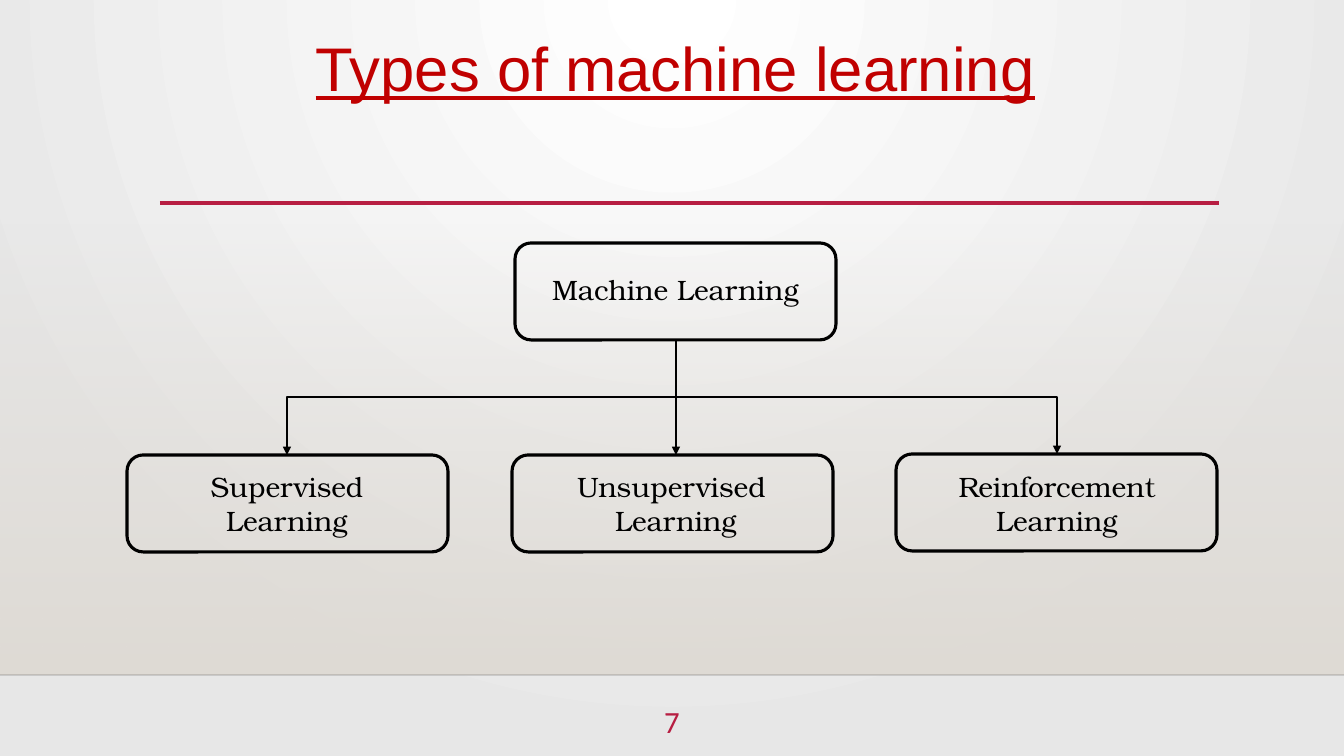
"""Builds a slide with a tree of the types of machine learning."""
from lxml import etree
from pptx import Presentation
from pptx import util as u
from pptx.dml.color import RGBColor
from pptx.enum import shapes, text
from pptx.oxml import parse_xml
from pptx.oxml.ns import nsdecls, qn

PX = 12192000 / 1344
WIDTH, HEIGHT = 1344, 756
BLACK = RGBColor(0x00, 0x00, 0x00)
RULE_BLACK = RGBColor(0x00, 0x00, 0x01)
TITLE_RED = RGBColor(0xC0, 0x00, 0x00)
ACCENT = RGBColor(0xB7, 0x1E, 0x42)
WHITE = RGBColor(0xFF, 0xFF, 0xFF)
GREY = RGBColor(0xE7, 0xE7, 0xE7)
SAND = RGBColor(0xDF, 0xDB, 0xD5)
LABEL_FONT = "TeX Gyre Bonum"
BOX_WIDTH, BOX_HEIGHT = 321, 97
ROOT_X, BRANCH_Y = 676, 397
KINDS = [
    (["Supervised ", "Learning"], 127, 455, 287, 181),
    (["Unsupervised ", "Learning"], 512, 455, 676, 219),
    (["Reinforcement", "Learning"], 896, 454, 1057, 220),
]


def px(*lengths):
    """Turn pixel lengths into EMU."""
    return [u.Emu(round(length * PX)) for length in lengths]


def set_gradient(fill, owner, stops, direction):
    """Give a fill two colour stops with opacity, and a direction in XML."""
    fill.gradient()
    gradient = owner.find(".//" + qn("a:gradFill"))
    stop_xml = "".join(
        f'<a:gs pos="{pos}"><a:srgbClr val="{color}"><a:alpha val="{alpha}"/></a:srgbClr></a:gs>'
        for pos, color, alpha in stops
    )
    gradient.getparent().replace(gradient, parse_xml(
        f'<a:gradFill {nsdecls("a")} rotWithShape="1">'
        f"<a:gsLst>{stop_xml}</a:gsLst>{direction}</a:gradFill>"
    ))


def add_line(slide, start, end, color, width, arrow=False, bent=False, alpha=None):
    """Add a straight or one-bend line, with an optional arrowhead."""
    kind = shapes.MSO_CONNECTOR.ELBOW if bent else shapes.MSO_CONNECTOR.STRAIGHT
    line = slide.shapes.add_connector(kind, *px(*start, *end))
    line.line.color.rgb = color
    line.line.width = u.Pt(width)
    properties = line.element.spPr
    etree.SubElement(properties, qn("a:effectLst"))
    if bent:
        properties.find(qn("a:prstGeom")).set("prst", "bentConnector2")
    if arrow:
        etree.SubElement(properties.find(qn("a:ln")), qn("a:tailEnd"), type="triangle")
    if alpha:
        etree.SubElement(properties.find(".//" + qn("a:srgbClr")), qn("a:alpha"), val=str(alpha))


def add_text(slide, lines, frame, font, size, color, wrap=True, underline=None, middle=False):
    """Add a text box with one centred paragraph for each line."""
    text_frame = slide.shapes.add_textbox(*px(*frame)).text_frame
    text_frame.word_wrap = wrap
    if middle:
        text_frame.vertical_anchor = text.MSO_ANCHOR.MIDDLE
    for index, line in enumerate(lines):
        paragraph = text_frame.add_paragraph() if index else text_frame.paragraphs[0]
        paragraph.alignment = text.PP_ALIGN.CENTER
        run = paragraph.add_run()
        run.text = line
        run.font.name = font
        run.font.size = u.Pt(size)
        run.font.color.rgb = color
        run.font.underline = underline


def add_box(slide, left, top):
    """Add an outlined rounded box of the tree."""
    box = slide.shapes.add_shape(
        shapes.MSO_SHAPE.ROUNDED_RECTANGLE, *px(left, top, BOX_WIDTH, BOX_HEIGHT))
    box.shadow.inherit = False
    box.fill.background()
    box.line.color.rgb = BLACK
    box.line.width = u.Pt(2.25)


def add_backdrop(slide):
    """Add the glow, the sand-coloured fade and the two rules."""
    set_gradient(
        slide.background.fill, slide.element, [(0, WHITE, 100000), (100000, GREY, 100000)],
        '<a:path path="circle"><a:fillToRect l="43000" t="0" r="43000" b="100000"/></a:path>')
    fade = slide.shapes.add_shape(shapes.MSO_SHAPE.RECTANGLE, *px(0, 223, WIDTH, 452))
    fade.shadow.inherit = False
    fade.line.fill.background()
    set_gradient(fade.fill, fade.element, [(0, SAND, 0), (100000, SAND, 100000)],
                 '<a:lin ang="5400000" scaled="0"/>')
    add_line(slide, (0, 675), (WIDTH, 675), RULE_BLACK, 1, alpha=20000)
    add_line(slide, (160, 203), (1219, 203), ACCENT, 2.5)


def add_tree(slide):
    """Add the root, its three kinds and the arrows between them."""
    add_box(slide, 515, 243)
    add_text(slide, ["Machine Learning"], (541, 268, 269, 44), LABEL_FONT, 20, BLACK, wrap=False)
    for lines, left, top, center, width in KINDS:
        add_box(slide, left, top)
        add_text(slide, lines, (center - width / 2, 465, width, 78),
                 LABEL_FONT, 20, BLACK, wrap=False)
        bent = center != ROOT_X
        start_y = BRANCH_Y if bent else 340
        add_line(slide, (ROOT_X, start_y), (center, top), BLACK, 1.5, arrow=True, bent=bent)


def main():
    """Build and save the slide."""
    presentation = Presentation()
    presentation.slide_width, presentation.slide_height = px(WIDTH, HEIGHT)
    slide = presentation.slides.add_slide(presentation.slide_layouts[6])
    add_backdrop(slide)
    add_text(slide, ["7"], (627, 694, 90, 55), "Calibri", 22, ACCENT, middle=True)
    add_text(slide, ["Types of machine learning"], (127, 25, 1097, 85),
             "Arial", 44, TITLE_RED, underline=True)
    add_tree(slide)
    presentation.save("out.pptx")


if __name__ == "__main__":
    main()
